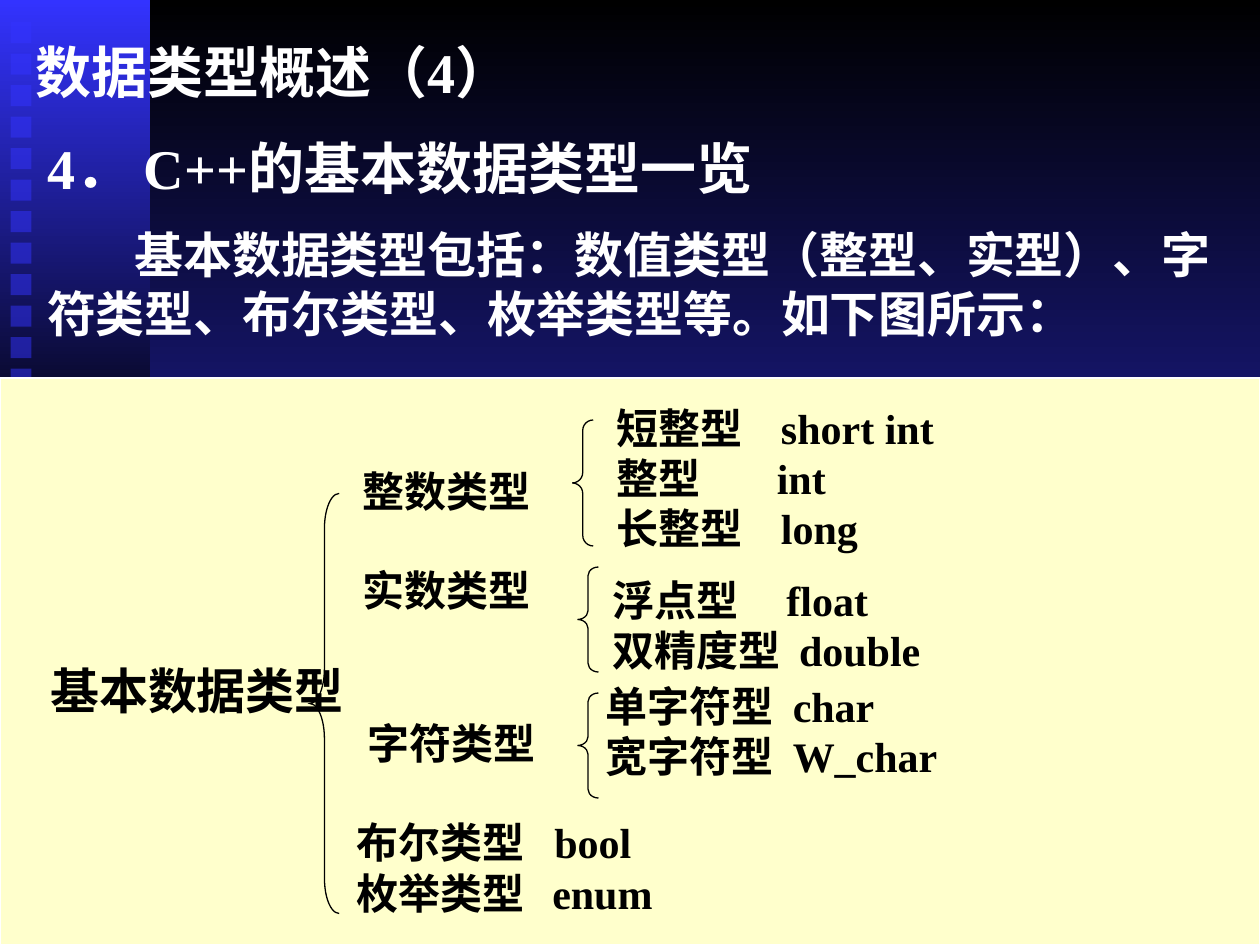
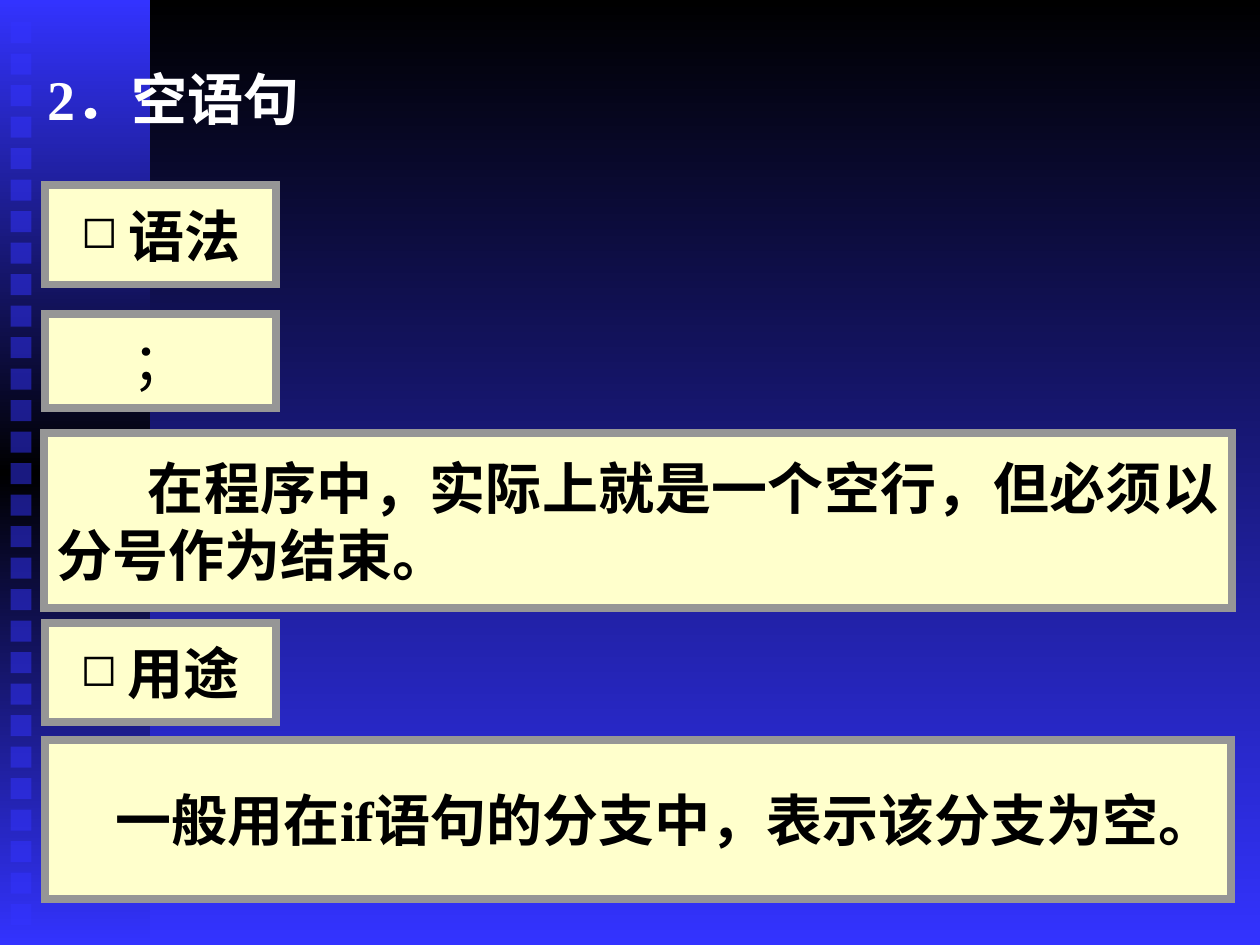
import copy
from dataclasses import dataclass
from typing import Optional

import pptx
import pptx.dml.color
import pptx.enum.shapes
import pptx.enum.text
import pptx.oxml
import pptx.oxml.ns
import pptx.util

RGB = pptx.dml.color.RGBColor
BLACK = RGB(0x00, 0x00, 0x00)
WHITE = RGB(0xFF, 0xFF, 0xFF)
BLUE = RGB(0x33, 0x33, 0xFF)
CREAM = RGB(0xFF, 0xFF, 0xCC)
GREY = RGB(0x96, 0x96, 0x96)

FONT = "Times New Roman"
WIDTH = pptx.util.Inches(10)
HEIGHT = pptx.util.Inches(7.5)
COLUMNS, ROWS = 120, 90
CELL = WIDTH // COLUMNS

Preset = pptx.enum.shapes.MSO_SHAPE
Align = pptx.enum.text.PP_ALIGN
Anchor = pptx.enum.text.MSO_ANCHOR


@dataclass(frozen=True)
class Area:
    """A place on the grid, in columns and rows."""
    column: float
    row: float
    columns: float
    rows: float

    def lengths(self) -> list[int]:
        return [round(n * CELL) for n in (self.column, self.row, self.columns, self.rows)]


@dataclass(frozen=True)
class DataType:
    """A type name and its C++ keyword, which starts at the tab column."""
    name: str
    keyword: str
    tab: float


@dataclass(frozen=True)
class TypeGroup:
    area: Area
    types: tuple[DataType, ...]
    inset: float
    brace: Optional[Area] = None


@dataclass(frozen=True)
class Category:
    name: str
    column: float
    row: float


@dataclass(frozen=True)
class Card:
    area: Area
    content: str
    align: Align = Align.CENTER
    bold: bool = True
    bullet: str = ""
    first_indent: float = 0


TYPE_GROUPS = (
    TypeGroup(Area(57.5, 37, 47, 17),
              (DataType("短整型", "short int", 15.7), DataType("整型", "int", 15.3),
               DataType("长整型", "long", 15.7)),
              1.2, Area(54.5, 40, 2, 12)),
    TypeGroup(Area(56, 53, 44, 13),
              (DataType("浮点型", "float", 16.6), DataType("双精度型", "double", 17.8)),
              2.3, Area(55, 54, 2, 10)),
    TypeGroup(Area(56, 65.6, 50, 8),
              (DataType("单字符型", "char", 17.8), DataType("宽字符型", "W_char", 17.8)),
              1.7, Area(55, 66, 2, 10)),
    TypeGroup(Area(33, 77.6, 30, 10),
              (DataType("布尔类型", "bool", 18.8), DataType("枚举类型", "enum", 18.6)), 1),
)
CATEGORIES = (
    Category("整数类型", 34.5, 46.7),
    Category("实数类型", 34.5, 56.2),
    Category("字符类型", 35, 70.7),
)
CARDS = (
    Card(Area(4.25, 29.9, 22, 9), "；", bold=False),
    Card(Area(4.3, 17.6, 22, 9.5), "语法", bullet="◻"),
    Card(Area(4.25, 59.3, 22, 9.5), "用途", bullet="◻"),
    Card(Area(4.2, 41.2, 113.1, 16.7), "在程序中，实际上就是一个空行，但必须以分号作为结束。",
         align=Align.JUSTIFY, first_indent=8.7),
    Card(Area(4.25, 70.5, 113, 15.1), "一般用在if语句的分支中，表示该分支为空。",
         align=Align.JUSTIFY, first_indent=5.6),
)


def add_gradient(fill, element, colours: tuple[RGB, ...]) -> None:
    """Fill from top to bottom with evenly spaced colours."""
    fill.gradient()
    fill.gradient_angle = 270
    stops = element.xpath(".//a:gsLst")[0]
    while len(stops) < len(colours):
        stops.append(copy.deepcopy(stops[0]))
    for i, (stop, colour) in enumerate(zip(fill.gradient_stops, colours)):
        stop.position = i / (len(colours) - 1)
        stop.color.rgb = colour


def append_xml(parent, tag: str, **attributes) -> None:
    """Append a drawing element without children."""
    settings = " ".join(f'{key}="{value}"' for key, value in attributes.items())
    namespace = pptx.oxml.ns.nsdecls("a")
    parent.append(pptx.oxml.parse_xml(f"<a:{tag} {namespace} {settings}/>"))


def add_preset(slide, preset: Preset, area: Area, fill: Optional[RGB] = None,
               line: Optional[RGB] = None, weight: float = 0.75):
    shape = slide.shapes.add_shape(preset, *area.lengths())
    shape.shadow.inherit = False
    if fill is None:
        shape.fill.background()
    else:
        shape.fill.solid()
        shape.fill.fore_color.rgb = fill
    if line is None:
        shape.line.fill.background()
    else:
        shape.line.color.rgb = line
        shape.line.width = pptx.util.Pt(weight)
        append_xml(shape._element.xpath("./p:spPr/a:ln")[0], "miter", lim=800000)
    return shape


def add_brace(slide, area: Area) -> None:
    brace = add_preset(slide, Preset.LEFT_BRACE, area, line=BLACK)
    brace.adjustments[0] = area.rows / 12 / area.columns


def add_bullet(properties, bullet: str, colour: RGB) -> None:
    hanging = round(4.5 * CELL)
    properties.set("marL", str(hanging))
    properties.set("indent", str(-hanging))
    append_xml(properties, "buClr")
    append_xml(properties[-1], "srgbClr", val=colour)
    append_xml(properties, "buSzPct", val=80000)
    append_xml(properties, "buChar", char=bullet)


def write(holder, content: str, *, size: float, colour: RGB = BLACK, bold: bool = True,
          align: Align = Align.LEFT, anchor: Anchor = Anchor.MIDDLE, wrap: bool = True,
          inset: float = 1.2, first_indent: float = 0, bullet: str = "",
          tabs: tuple[float, ...] = ()) -> None:
    """Write one paragraph for each line of content, with one tab stop each if given."""
    frame = holder.text_frame
    frame.word_wrap = wrap
    frame.vertical_anchor = anchor
    frame.margin_left = round(inset * CELL)
    frame.text = content
    for i, paragraph in enumerate(frame.paragraphs):
        paragraph.alignment = align
        properties = paragraph._p.get_or_add_pPr()
        properties.set("hangingPunct", "0")
        if first_indent:
            properties.set("indent", str(round(first_indent * CELL)))
        if bullet:
            add_bullet(properties, bullet, colour)
        if tabs:
            append_xml(properties, "tabLst")
            append_xml(properties[-1], "tab", pos=round(tabs[i] * CELL), algn="l")
        paragraph.font.size = pptx.util.Pt(size)
        for run in paragraph.runs:
            run.font.name = FONT
            run.font.size = pptx.util.Pt(size)
            run.font.bold = bold
            run.font.color.rgb = colour


def add_text(slide, area: Area, content: str, **text_format) -> None:
    write(slide.shapes.add_textbox(*area.lengths()), content, **text_format)


def add_title(slide, area: Area, content: str) -> None:
    add_text(slide, area, content, size=32, colour=WHITE)


def add_base_slide(presentation, squares: int):
    """Add a slide with the gradient ground, the side band and its squares."""
    slide = presentation.slides.add_slide(presentation.slide_layouts[6])
    add_gradient(slide.background.fill, slide._element, (BLACK, BLUE))
    band = add_preset(slide, Preset.RECTANGLE, Area(0, 0, 14.3, ROWS))
    add_gradient(band.fill, band._element, (BLUE, BLACK, BLUE))
    for i in range(squares):
        square = add_preset(slide, Preset.RECTANGLE, Area(1, 2.1 + 3 * i, 2, 2), BLUE)
        colour = square._element.xpath("./p:spPr/a:solidFill/a:srgbClr")[0]
        append_xml(colour, "alpha", val=50000)
    return slide


def add_type_group(slide, group: TypeGroup) -> None:
    box = add_preset(slide, Preset.RECTANGLE, group.area, CREAM)
    lines = "\n".join(f"{item.name}\t{item.keyword}" for item in group.types)
    write(box, lines, size=24, inset=group.inset, wrap=False,
          tabs=tuple(item.tab for item in group.types))
    if group.brace:
        add_brace(slide, group.brace)


def build_type_overview(presentation) -> None:
    slide = add_base_slide(presentation, squares=12)
    add_preset(slide, Preset.RECTANGLE, Area(0, 36, COLUMNS, 54), CREAM, WHITE)
    add_title(slide, Area(2.2, 2.5, 102, 8.5), "数据类型概述（4）")
    add_title(slide, Area(3.3, 9.9, 102, 12), "4． C++的基本数据类型一览")
    add_text(slide, Area(3.3, 20.8, 113.7, 14.2),
             "基本数据类型包括：数值类型（整型、实型）、字符类型、布尔类型、枚举类型等。如下图所示：",
             size=28, colour=WHITE, anchor=Anchor.TOP, first_indent=8.3)
    add_text(slide, Area(3.6, 61.7, 32, 8), "基本数据类型", size=28)
    add_brace(slide, Area(29.5, 47, 2.8, 40))
    for category in CATEGORIES:
        add_text(slide, Area(category.column, category.row - 3, 20, 6), category.name,
                 size=24, inset=0)
    for group in TYPE_GROUPS:
        add_type_group(slide, group)


def build_empty_statement(presentation) -> None:
    slide = add_base_slide(presentation, squares=29)
    add_title(slide, Area(3.3, 4.3, 102, 10), "2．空语句")
    for card in CARDS:
        box = add_preset(slide, Preset.RECTANGLE, card.area, CREAM, GREY, 4.5)
        write(box, card.content, size=32, bold=card.bold, align=card.align,
              bullet=card.bullet, first_indent=card.first_indent)


def main() -> None:
    presentation = pptx.Presentation()
    presentation.slide_width = WIDTH
    presentation.slide_height = HEIGHT
    build_type_overview(presentation)
    build_empty_statement(presentation)
    presentation.save("out.pptx")


if __name__ == "__main__":
    main()
